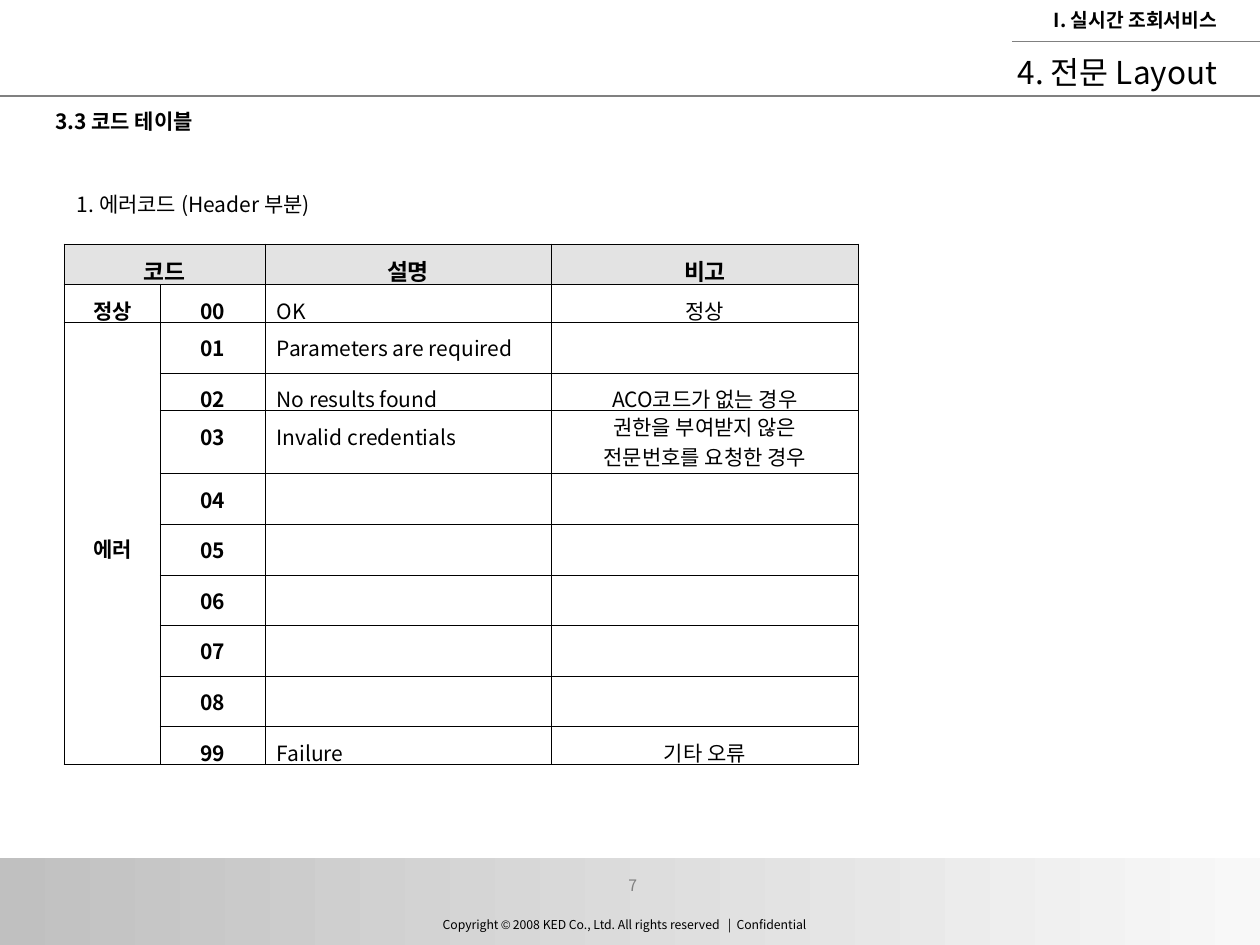
from lxml.etree import SubElement
from pptx import Presentation
from pptx.dml.color import RGBColor as RGB
from pptx.enum.shapes import MSO_CONNECTOR as Line, MSO_SHAPE as Shape
from pptx.enum.text import MSO_ANCHOR as Anchor, PP_ALIGN as Align
from pptx.oxml.ns import qn
from pptx.util import Cm, Pt

BLACK = RGB(0x00, 0x00, 0x00)
WHITE = RGB(0xFF, 0xFF, 0xFF)
GRAY = RGB(0x80, 0x80, 0x80)
HEAD = RGB(0xE3, 0xE3, 0xE3)
DARK = RGB(0xC0, 0xC0, 0xC0)
LIGHT = RGB(0xF8, 0xF8, 0xF8)

WIDTHS = [1.93, 2.11, 5.77, 6.2]
HEAD_H, ROW_H, TALL_H, OPEN_H = 0.81, 0.76, 1.27, 1.02
WRAP = 15  # longest remark that fits on one line

ROWS = [
    ("코드", "", "설명", "비고"),
    ("정상", "00", "OK", "정상"),
    ("에러", "01", "Parameters are required", ""),
    ("", "02", "No results found", "ACO코드가 없는 경우"),
    ("", "03", "Invalid credentials", "권한을 부여받지 않은 전문번호를 요청한 경우"),
    *[("", f"{n:02}", "", "") for n in range(4, 9)],
    ("", "99", "Failure", "기타 오류"),
]


class Deck:
    font = "Noto Sans CJK KR"

    def __init__(self):
        self.prs = Presentation()
        self.prs.slide_width, self.prs.slide_height = Cm(25.4), Cm(19.05)
        self.slide = self.prs.slides.add_slide(self.prs.slide_layouts[5])
        self.shapes = self.slide.shapes

    def run(self, para, text, size, bold=False, color=BLACK, font=None):
        run = para.add_run()
        run.text = text
        run.font.name = font or self.font
        run.font.size, run.font.bold = Pt(size), bold
        run.font.color.rgb = color
        if not font:
            east = SubElement(run.font._element, qn("a:ea"))
            east.set("typeface", self.font)

    def frame(self, shape, box, align, anchor):
        """Place a text shape and return its first paragraph."""
        shape.left, shape.top, shape.width, shape.height = map(Cm, box)
        frame = shape.text_frame
        frame.word_wrap = True
        frame.vertical_anchor = anchor
        para = frame.paragraphs[0]
        para.alignment = align
        return para

    def title(self, box, text, size):
        para = self.frame(self.shapes.title, box, Align.RIGHT, Anchor.MIDDLE)
        self.run(para, text, size)

    def text(self, box, runs, align=Align.LEFT, anchor=Anchor.TOP):
        shape = self.shapes.add_textbox(*map(Cm, box))
        para = self.frame(shape, box, align, anchor)
        for text, style in runs:
            self.run(para, text, **style)

    def band(self, box):
        shape = self.shapes.add_shape(Shape.RECTANGLE, *map(Cm, box))
        shape.shadow.inherit = False
        shape.line.fill.background()
        shape.fill.gradient()
        shape.fill.gradient_angle = 0
        for stop, color, pos in zip(shape.fill.gradient_stops, (DARK, LIGHT), (0, 1)):
            stop.color.rgb, stop.position = color, pos

    def rule(self, left, right, top, width):
        line = self.shapes.add_connector(
            Line.STRAIGHT, Cm(left), Cm(top), Cm(right), Cm(top))
        line.line.color.rgb, line.line.width = GRAY, Pt(width)
        SubElement(line._element.spPr, qn("a:effectLst"))

    def edges(self, cell, outer):
        """Draw the four borders of a cell, thicker on the table's outside."""
        props = cell._tc.get_or_add_tcPr()
        for side, out in zip("LRTB", outer):
            line = SubElement(props, qn(f"a:ln{side}"), w=str(Pt(1.08 if out else 0.45)))
            fill = SubElement(line, qn("a:solidFill"))
            SubElement(fill, qn("a:srgbClr"), val=str(BLACK))

    def cell(self, cell, text, row, col):
        cell.margin_left = cell.margin_right = Cm(0.24)
        cell.margin_top = Cm(0 if len(text) > WRAP and col == 3 else 0.2)
        cell.margin_bottom = 0
        cell.fill.solid()
        cell.fill.fore_color.rgb = WHITE if row else HEAD
        para = cell.text_frame.paragraphs[0]
        para.alignment = Align.LEFT if row and col == 2 else Align.CENTER
        if text:
            self.run(para, text, 12 if row else 13, bold=not row or col < 2)
        else:
            para.font.size = Pt(12)

    def table(self, left, top, rows):
        heights = [HEAD_H] + [
            OPEN_H if not r[3] else TALL_H if len(r[3]) > WRAP else ROW_H
            for r in rows[1:]]
        table = self.shapes.add_table(
            len(rows), len(WIDTHS), Cm(left), Cm(top),
            Cm(sum(WIDTHS)), Cm(sum(heights))).table
        table.first_row = table.horz_banding = False
        for col, width in zip(table.columns, WIDTHS):
            col.width = Cm(width)
        for row, height in zip(table.rows, heights):
            row.height = Cm(height)
        last, end = len(rows) - 1, len(WIDTHS) - 1
        for r, texts in enumerate(rows):
            for c, text in enumerate(texts):
                cell = table.cell(r, c)
                self.edges(cell, (c == 0, c == end, r == 0, r == last))
                self.cell(cell, text, r, c)
        table.cell(0, 0).merge(table.cell(0, 1))
        group = table.cell(2, 0)
        group.merge(table.cell(last, 0))
        group.vertical_anchor = Anchor.MIDDLE


def main():
    deck = Deck()
    deck.band((0, 17.3, 25.4, 1.75))
    small = {"size": 7}
    deck.text((8.08, 18.36, 9.02, 0.6), [
        ("Copyright ", small),
        ("©", {"size": 7, "font": "Arial"}),
        (" 2008 KED Co., Ltd. All rights reserved   |  Confidential", small),
    ], Align.CENTER)
    deck.rule(0, 25.4, 1.93, 1)
    deck.rule(20.4, 25.4, 0.84, 0.75)
    deck.text((11.89, 17.53, 1.73, 0.79),
              [("7", {"size": 9, "color": GRAY})], Align.CENTER)
    deck.text((0.86, 2.06, 23.62, 1.78),
              [("3.3 코드 테이블", {"size": 12, "bold": True})])
    deck.title((17.17, 0.86, 7.62, 1.17), "4. 전문 Layout", 18)
    deck.text((20.12, 0, 4.67, 0.81),
              [("I. 실시간 조회서비스", {"size": 11, "bold": True})],
              Align.RIGHT, Anchor.MIDDLE)
    deck.table(1.3, 4.93, ROWS)
    deck.text((1.3, 3.53, 7.8, 1.17),
              [("1. 에러코드 (Header 부분)", {"size": 12})], anchor=Anchor.MIDDLE)
    deck.prs.save("out.pptx")


if __name__ == "__main__":
    main()
